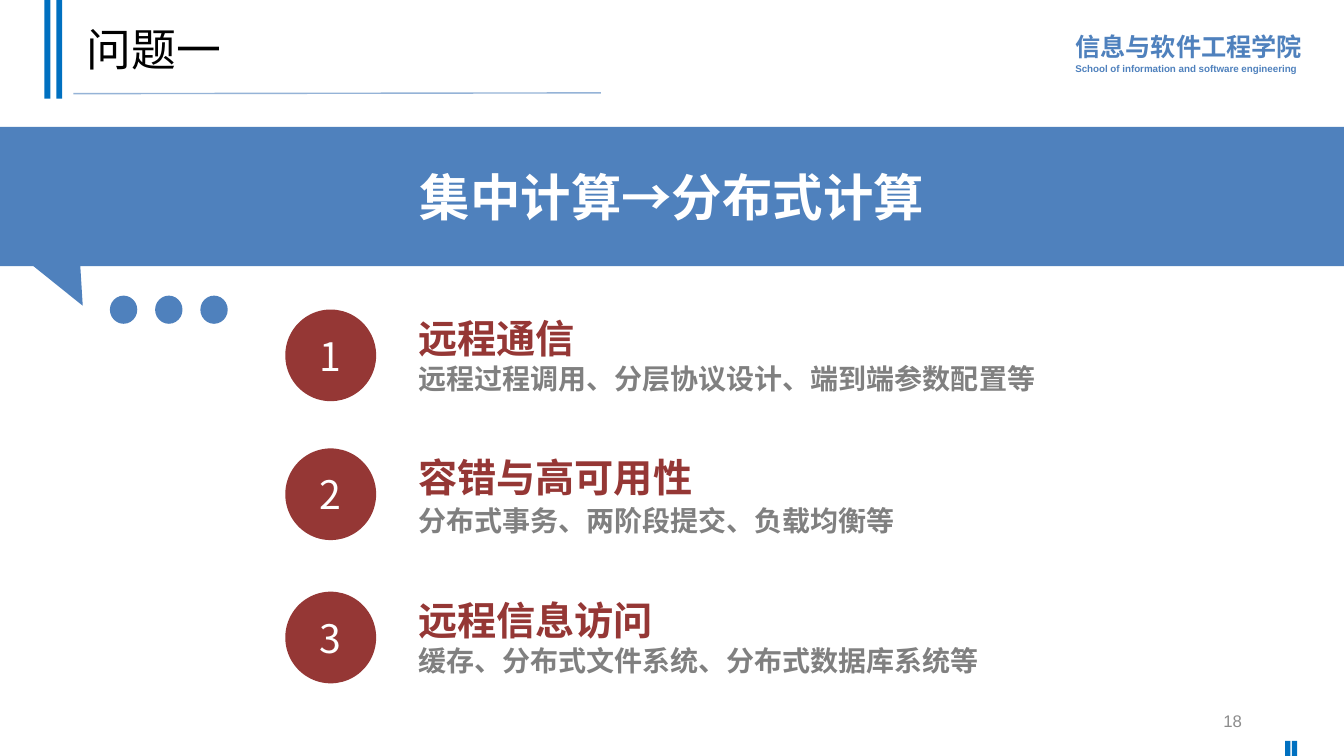
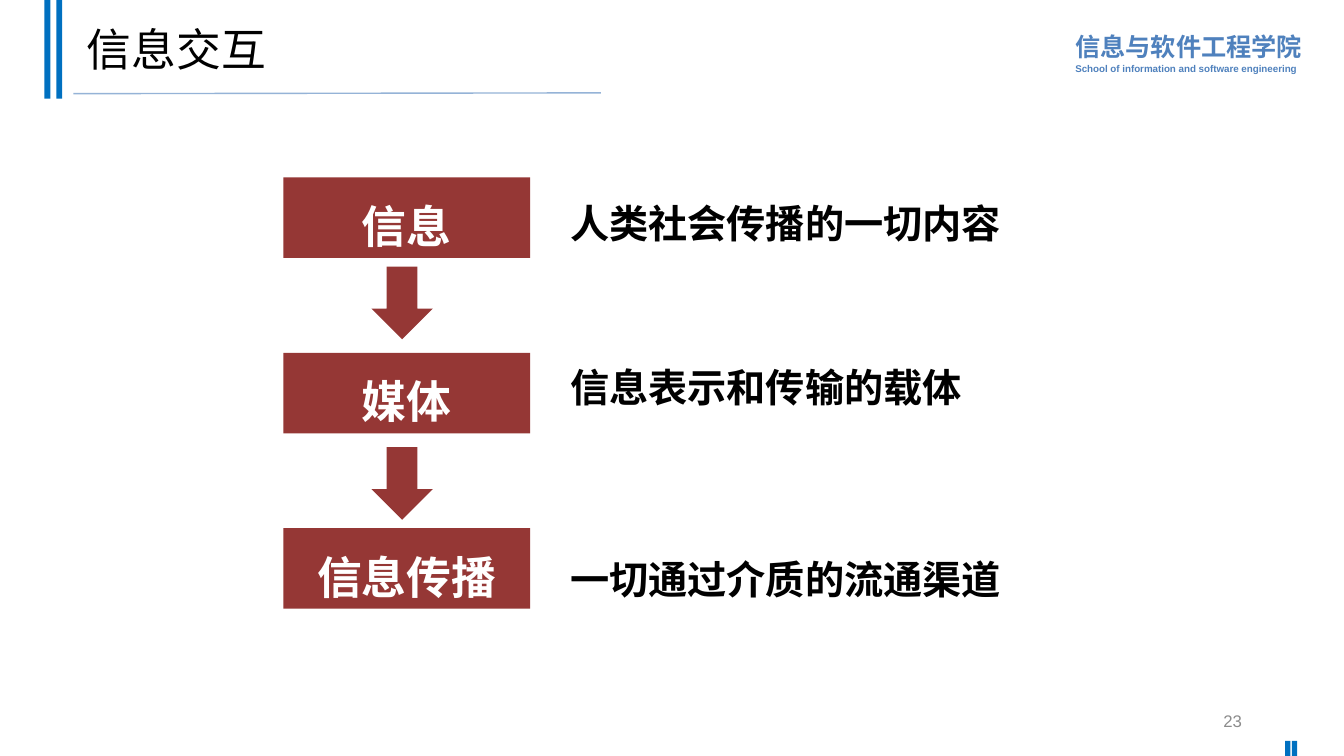
"""Build two lecture slides that share one header and footer."""
from dataclasses import dataclass

from lxml import etree
from pptx import Presentation
from pptx import util as u
from pptx.dml.color import RGBColor
from pptx.enum import shapes, text
from pptx.oxml.ns import qn

BLUE, BAR_BLUE, RULE_BLUE = "4F81BD", "0070C0", "95B3D7"
RED, GREY, NUMBER_GREY = "953735", "808080", "8C8C8C"
WHITE, BLACK = "FFFFFF", "000000"
SANS, CJK = "Arial", "Noto Sans CJK SC"
LEFT, CENTER, RIGHT = text.PP_ALIGN.LEFT, text.PP_ALIGN.CENTER, text.PP_ALIGN.RIGHT
TOP, MIDDLE = text.MSO_ANCHOR.TOP, text.MSO_ANCHOR.MIDDLE
PRESET = shapes.MSO_SHAPE


@dataclass(frozen=True)
class Box:
    """Position and size in centimetres."""
    left: float
    top: float
    width: float
    height: float

    def emu(self) -> tuple:
        """Return the four lengths for python-pptx."""
        return tuple(u.Cm(v) for v in (self.left, self.top, self.width, self.height))


@dataclass(frozen=True)
class Line:
    """One paragraph with its format."""
    words: str
    size: float
    color: str
    bold: bool = False
    font: str = CJK
    align: int = LEFT
    spacing: float = 1.0


@dataclass(frozen=True)
class Topic:
    """A numbered topic and the top of its circle."""
    top: float
    heading: str
    detail: str
    detail_spacing: float = 1.0


@dataclass(frozen=True)
class Stage:
    """A term in the flow and the place of its meaning."""
    term: str
    meaning: str
    meaning_top: float
    meaning_spacing: float


TOPICS = (
    Topic(7.8, "远程通信", "远程过程调用、分层协议设计、端到端参数配置等"),
    Topic(11.3, "容错与高可用性", "分布式事务、两阶段提交、负载均衡等", 1.1),
    Topic(14.91, "远程信息访问", "缓存、分布式文件系统、分布式数据库系统等"),
)
STAGES = (
    Stage("信息", "人类社会传播的一切内容", 4.55, 1.3),
    Stage("媒体", "信息表示和传输的载体", 9.04, 1.0),
    Stage("信息传播", "一切通过介质的流通渠道", 13.51, 1.3),
)


def rgb(color: str) -> RGBColor:
    """Turn a hex string into a colour."""
    return RGBColor.from_string(color)


def write(tf, *lines: Line, anchor=TOP, wrap: bool = True) -> None:
    """Fill a text frame with formatted paragraphs."""
    tf.word_wrap, tf.vertical_anchor = wrap, anchor
    tf.auto_size = text.MSO_AUTO_SIZE.NONE
    tf.text = "\n".join(line.words for line in lines)
    for p, line in zip(tf.paragraphs, lines):
        p.alignment, p.line_spacing = line.align, line.spacing
        for r in p.runs:
            r.font.size, r.font.bold = u.Pt(line.size), line.bold
            r.font.color.rgb = rgb(line.color)
            r.font.name = line.font
            r.font._element.find(qn("a:latin")).addnext(
                etree.Element(qn("a:ea"), typeface=CJK))


def add_text(s, box: Box, *lines: Line, anchor=TOP, wrap: bool = True) -> None:
    """Add a text box."""
    write(s.shapes.add_textbox(*box.emu()).text_frame, *lines, anchor=anchor, wrap=wrap)


def add_shape(s, preset, box: Box, fill: str):
    """Add a flat filled shape without outline."""
    sp = s.shapes.add_shape(preset, *box.emu())
    sp.shadow.inherit = False
    sp.fill.solid()
    sp.fill.fore_color.rgb = rgb(fill)
    sp.line.fill.background()
    return sp


def add_rule(s) -> None:
    """Draw the thin line below the title."""
    rule = s.shapes.add_connector(shapes.MSO_CONNECTOR.STRAIGHT, u.Cm(1.85),
                                  u.Cm(2.36), u.Cm(15.14), u.Cm(2.34))
    rule.line.color.rgb = rgb(RULE_BLUE)
    rule.line.width = u.Pt(1)
    etree.SubElement(rule._element.spPr, qn("a:effectLst"))


def add_slide(prs, title: str, number: int):
    """Add a slide with the shared header, title and page number."""
    s = prs.slides.add_slide(prs.slide_layouts[5])
    add_text(s, Box(26.85, 0.58, 6.22, 1.42),
             Line("信息与软件工程学院", 18, BLUE, True, SANS, spacing=1.1),
             Line("School of information and software engineering", 7, BLUE, True,
                  SANS, spacing=1.1))
    for bar in (Box(1.12, 0, 0.15, 2.49), Box(1.42, 0, 0.15, 2.49),
                Box(32.39, 18.67, 0.13, 0.38), Box(32.56, 18.67, 0.13, 0.38)):
        add_shape(s, PRESET.RECTANGLE, bar, BAR_BLUE)
    add_rule(s)
    heading = s.shapes.title
    heading.left, heading.top, heading.width, heading.height = Box(
        1.93, 0.18, 29.21, 2.24).emu()
    write(heading.text_frame, Line(title, 32, BLACK, font=SANS, spacing=0.9),
          anchor=MIDDLE)
    add_text(s, Box(23.93, 17.65, 7.62, 1.02),
             Line(str(number), 12, NUMBER_GREY, font=SANS, align=RIGHT), anchor=MIDDLE)
    return s


def build_topics(prs) -> None:
    """Build the slide with the speech band and numbered topics."""
    s = add_slide(prs, "问题一", 18)
    band = add_shape(s, PRESET.RECTANGLE, Box(0, 3.2, 33.87, 3.51), BLUE)
    write(band.text_frame, Line("集中计算→分布式计算", 36, WHITE, True, align=CENTER),
          anchor=MIDDLE)
    tail = add_shape(s, PRESET.ISOSCELES_TRIANGLE, Box(0.58, 5.59, 1.98, 2.24), BLUE)
    tail.rotation = 152.6
    for i in range(3):
        add_shape(s, PRESET.OVAL, Box(2.77 + 1.14 * i, 7.45, 0.69, 0.71), BLUE)
    for number, topic in enumerate(TOPICS, 1):
        circle = add_shape(s, PRESET.OVAL, Box(7.19, topic.top, 2.29, 2.31), RED)
        write(circle.text_frame, Line(str(number), 28, WHITE, align=CENTER),
              anchor=MIDDLE)
        add_text(s, Box(10.29, topic.top - 0.13, 17.81, 2.44),
                 Line(topic.heading, 28, RED, True, spacing=1.1),
                 Line(topic.detail, 20, GREY, True, spacing=topic.detail_spacing))


def build_flow(prs) -> None:
    """Build the slide with the three-stage flow."""
    s = add_slide(prs, "信息交互", 23)
    for i, stage in enumerate(STAGES):
        box = add_shape(s, PRESET.RECTANGLE, Box(7.14, 4.47 + 4.42 * i, 6.22, 2.03), RED)
        write(box.text_frame,
              Line(stage.term, 32, WHITE, True, align=CENTER, spacing=1.3))
        add_text(s, Box(14.12, stage.meaning_top, 11.76, 1.63),
                 Line(stage.meaning, 28, BLACK, True, spacing=stage.meaning_spacing),
                 wrap=False)
    for top in (6.72, 11.27):
        add_shape(s, PRESET.DOWN_ARROW, Box(9.36, top, 1.55, 1.83), RED)


def main() -> None:
    """Create and save the presentation."""
    prs = Presentation()
    prs.slide_width, prs.slide_height = u.Cm(33.87), u.Cm(19.05)
    build_topics(prs)
    build_flow(prs)
    prs.save("out.pptx")


if __name__ == "__main__":
    main()
